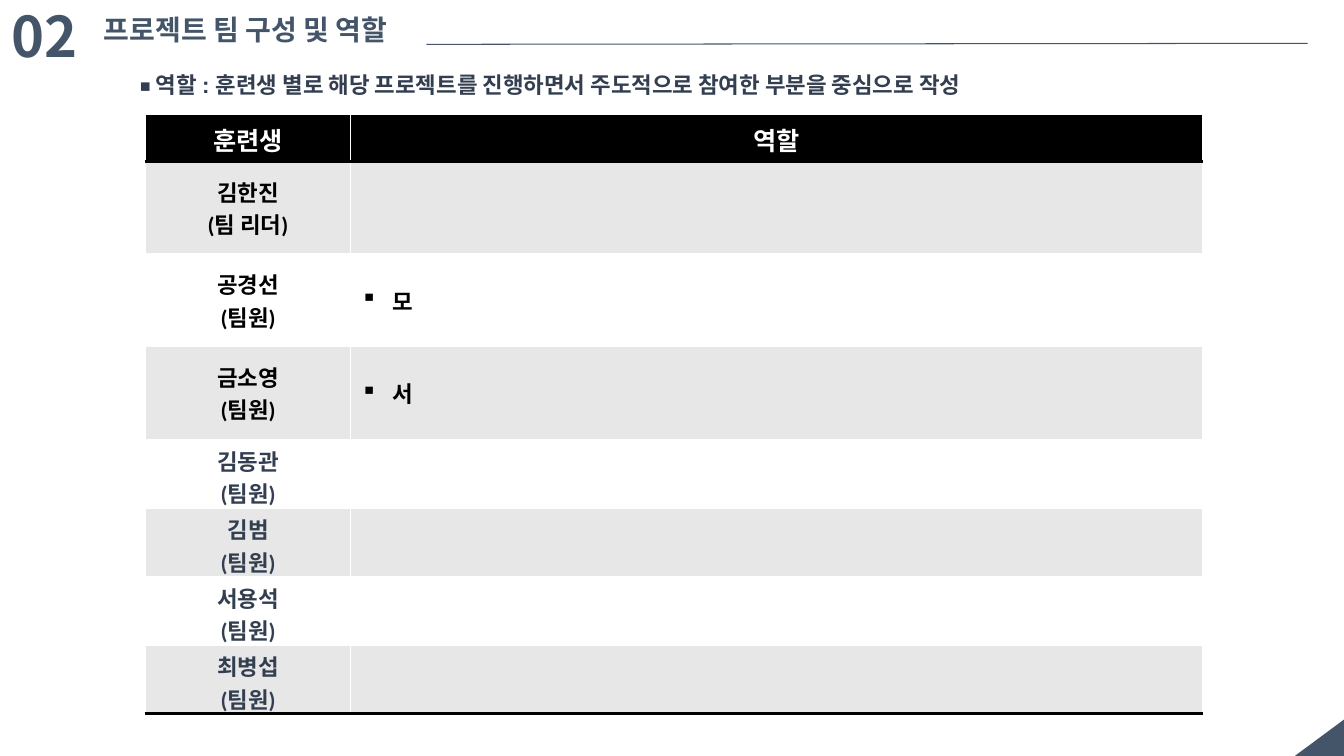
import dataclasses
import typing

import lxml.etree
import pptx
import pptx.dml.color
import pptx.enum.shapes
import pptx.enum.text
import pptx.oxml.ns
import pptx.util

Inches = pptx.util.Inches
COLORS = {
    "slate": "445569",
    "navy": "333F50",
    "black": "000000",
    "white": "FFFFFF",
    "band": "E7E7E7",
}
KOREAN_FONT = "Noto Sans CJK KR"
ROLE_BULLET = "▪"


@dataclasses.dataclass
class TextStyle:
    size: float
    font: str
    color: str


@dataclasses.dataclass
class Heading:
    text: str
    left: float
    top: float
    width: float
    height: float
    style: TextStyle
    wrap: bool = True


@dataclasses.dataclass
class Member:
    name: str
    position: str
    role: str
    color: str
    height: float


HEADINGS = [
    Heading("02", 0.02, -0.03, 1.27, 0.77, TextStyle(40, KOREAN_FONT, "slate")),
    Heading("◾ 역할 : 훈련생 별로 해당 프로젝트를 진행하면서 주도적으로 참여한 부분을 중심으로 작성",
            1.29, 0.66, 9.84, 0.37, TextStyle(16, "Arial", "navy")),
]
TITLE = Heading("프로젝트 팀 구성 및 역할", 0.93, 0.07, 3.4, 0.44,
                TextStyle(20, "Arial", "slate"), wrap=False)
COLUMN_TITLES = ["훈련생", "역할"]
COLUMN_WIDTHS = [2.04, 8.45]
HEADER_HEIGHT = 0.45
MEMBERS = [
    Member("김한진", "(팀 리더)", "", "black", 0.92),
    Member("공경선", "(팀원)", "모", "black", 0.92),
    Member("금소영", "(팀원)", "서", "black", 0.92),
    Member("김동관", "(팀원)", "", "navy", 0.68),
    Member("김범", "(팀원)", "", "navy", 0.68),
    Member("서용석", "(팀원)", "", "navy", 0.68),
    Member("최병섭", "(팀원)", "", "navy", 0.68),
]


def rgb(color: str) -> pptx.dml.color.RGBColor:
    return pptx.dml.color.RGBColor.from_string(COLORS[color])


def add_run(paragraph: typing.Any, text: str, style: TextStyle) -> None:
    run = paragraph.add_run()
    run.text = text
    run.font.size = pptx.util.Pt(style.size)
    run.font.name = style.font
    run.font.bold = True
    run.font.color.rgb = rgb(style.color)
    properties = run._r.get_or_add_rPr()
    east_asian = lxml.etree.SubElement(properties, pptx.oxml.ns.qn("a:ea"))
    east_asian.set("typeface", KOREAN_FONT)


def write_heading(shape: typing.Any, heading: Heading) -> None:
    shape.left, shape.top = Inches(heading.left), Inches(heading.top)
    shape.width, shape.height = Inches(heading.width), Inches(heading.height)
    frame = shape.text_frame
    frame.word_wrap = heading.wrap
    frame.auto_size = pptx.enum.text.MSO_AUTO_SIZE.SHAPE_TO_FIT_TEXT
    frame.vertical_anchor = pptx.enum.text.MSO_ANCHOR.TOP
    paragraph = frame.paragraphs[0]
    paragraph.alignment = pptx.enum.text.PP_ALIGN.LEFT
    paragraph.line_spacing = 1.0
    paragraph.space_before = pptx.util.Pt(0)
    add_run(paragraph, heading.text, heading.style)


def add_title_rule(slide: typing.Any) -> None:
    rule = slide.shapes.add_connector(
        pptx.enum.shapes.MSO_CONNECTOR.STRAIGHT,
        Inches(4.23), Inches(0.44), Inches(12.97), Inches(0.43))
    rule.line.color.rgb = rgb("slate")
    rule.line.width = pptx.util.Pt(0.75)
    lxml.etree.SubElement(rule._element.spPr, pptx.oxml.ns.qn("a:effectLst"))


def add_corner(slide: typing.Any) -> None:
    corner = slide.shapes.add_shape(
        pptx.enum.shapes.MSO_SHAPE.RIGHT_TRIANGLE,
        Inches(12.9), Inches(7.07), Inches(0.37), Inches(0.5))
    corner.rotation = 270
    corner.shadow.inherit = False
    corner.fill.solid()
    corner.fill.fore_color.rgb = rgb("slate")
    corner.line.fill.background()


def fill_cell(cell: typing.Any, fill: str, lines: list[str], style: TextStyle) -> None:
    cell.fill.solid()
    cell.fill.fore_color.rgb = rgb(fill)
    cell.vertical_anchor = pptx.enum.text.MSO_ANCHOR.MIDDLE
    frame = cell.text_frame
    for index, line in enumerate(lines):
        paragraph = frame.add_paragraph() if index else frame.paragraphs[0]
        paragraph.alignment = pptx.enum.text.PP_ALIGN.CENTER
        add_run(paragraph, line, style)


def set_bullet(paragraph: typing.Any) -> None:
    paragraph.alignment = pptx.enum.text.PP_ALIGN.LEFT
    properties = paragraph._p.get_or_add_pPr()
    properties.set("marL", str(Inches(0.31)))
    properties.set("indent", str(-Inches(0.31)))
    bullet = lxml.etree.SubElement(properties, pptx.oxml.ns.qn("a:buChar"))
    bullet.set("char", ROLE_BULLET)


def add_border(cell: typing.Any, side: str) -> None:
    properties = cell._tc.get_or_add_tcPr()
    border = lxml.etree.Element(pptx.oxml.ns.qn(f"a:{side}"), w=str(pptx.util.Pt(2)))
    fill = lxml.etree.SubElement(border, pptx.oxml.ns.qn("a:solidFill"))
    color = lxml.etree.SubElement(fill, pptx.oxml.ns.qn("a:srgbClr"))
    color.set("val", COLORS["black"])
    properties.insert(0, border)


def add_team_table(slide: typing.Any) -> None:
    heights = [HEADER_HEIGHT] + [member.height for member in MEMBERS]
    table = slide.shapes.add_table(
        len(heights), len(COLUMN_WIDTHS), Inches(1.44), Inches(1.15),
        Inches(sum(COLUMN_WIDTHS)), Inches(sum(heights))).table
    for column, width in zip(table.columns, COLUMN_WIDTHS):
        column.width = Inches(width)
    for row, height in zip(table.rows, heights):
        row.height = Inches(height)
    for column, title in enumerate(COLUMN_TITLES):
        header = table.cell(0, column)
        fill_cell(header, "black", [title], TextStyle(18, "Calibri", "white"))
        add_border(header, "lnB")
        add_border(header, "lnT")
        add_border(table.cell(len(MEMBERS), column), "lnB")
    for row, member in enumerate(MEMBERS, start=1):
        fill = "band" if row % 2 else "white"
        style = TextStyle(16, "Calibri", member.color)
        fill_cell(table.cell(row, 0), fill, [member.name, member.position], style)
        role_cell = table.cell(row, 1)
        fill_cell(role_cell, fill, [member.role] if member.role else [], style)
        if member.role:
            set_bullet(role_cell.text_frame.paragraphs[0])


def main() -> None:
    presentation = pptx.Presentation()
    presentation.slide_width, presentation.slide_height = Inches(13.33), Inches(7.5)
    slide = presentation.slides.add_slide(presentation.slide_layouts[5])
    add_corner(slide)
    write_heading(slide.shapes.title, TITLE)
    for heading in HEADINGS:
        write_heading(slide.shapes.add_textbox(0, 0, 0, 0), heading)
    add_title_rule(slide)
    add_team_table(slide)
    presentation.save("out.pptx")


if __name__ == "__main__":
    main()
